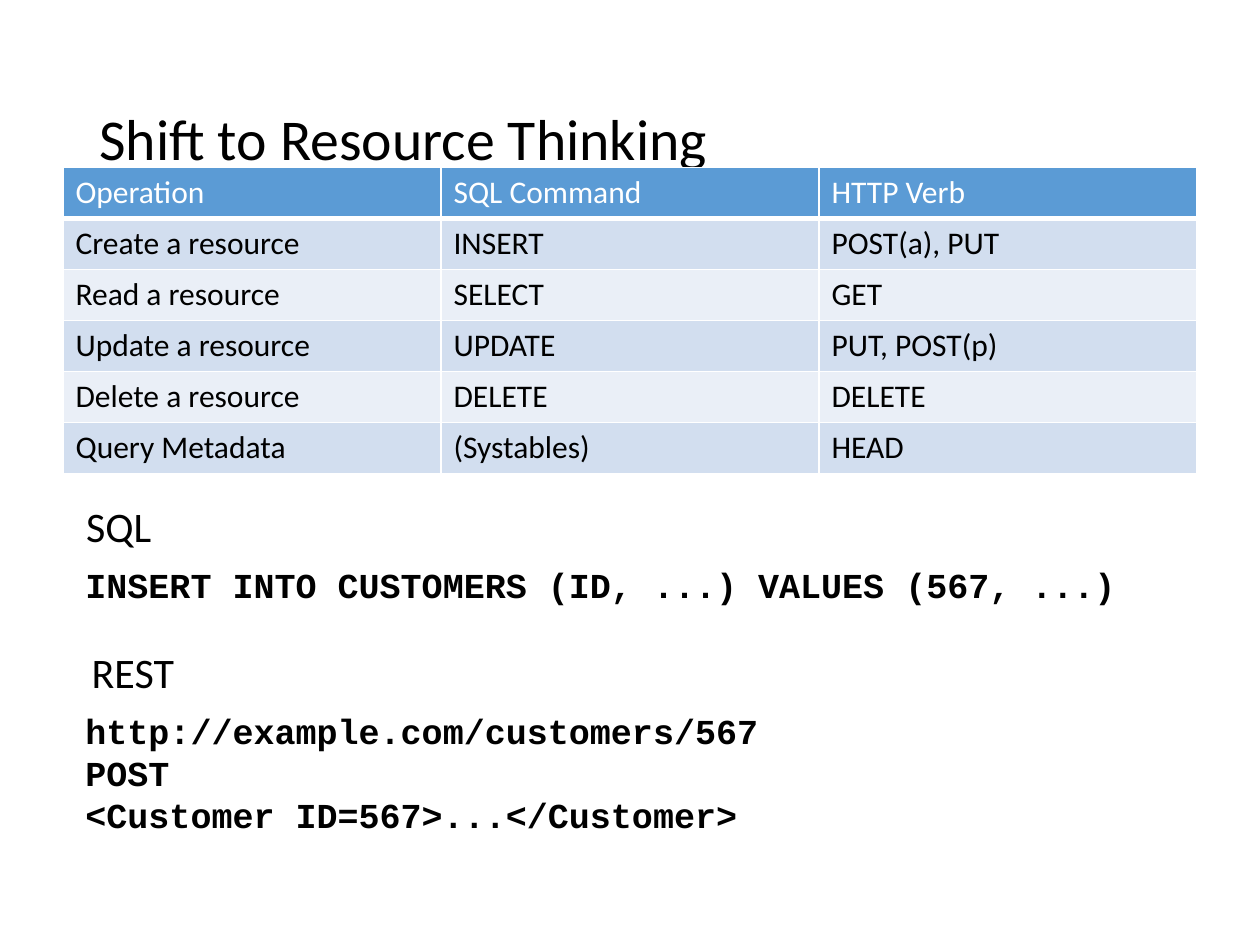
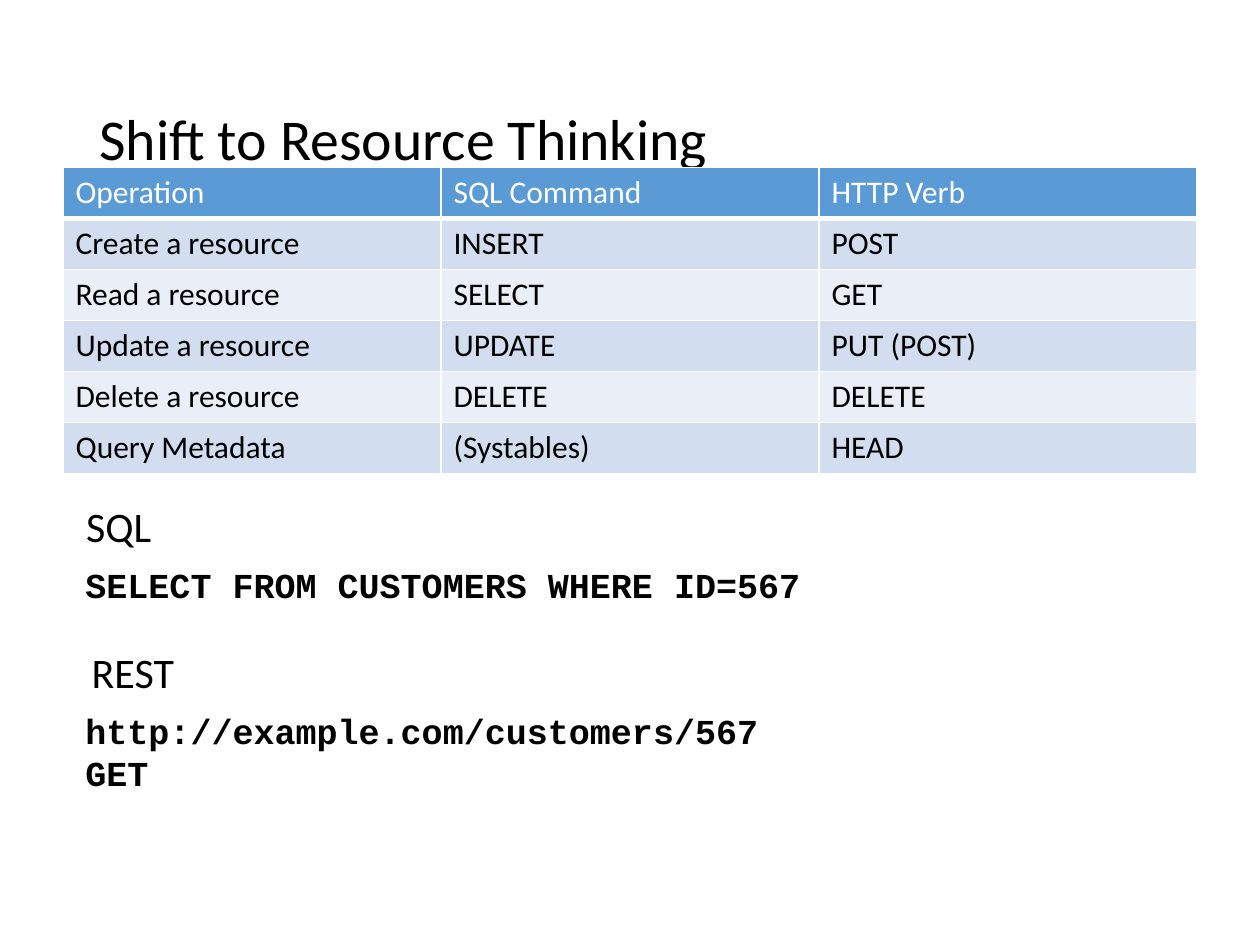
import dataclasses

import pptx
import pptx.dml.color
import pptx.enum.shapes
import pptx.enum.text
import pptx.oxml
import pptx.oxml.ns
import pptx.util

Inches = pptx.util.Inches
Pt = pptx.util.Pt
RGB = pptx.dml.color.RGBColor
Align = pptx.enum.text.PP_ALIGN
Anchor = pptx.enum.text.MSO_ANCHOR


@dataclasses.dataclass(frozen=True)
class Theme:
    ink: RGB = RGB.from_string("000000")
    paper: RGB = RGB.from_string("FFFFFF")
    head: RGB = RGB.from_string("5B9BD5")
    bands: tuple[RGB, ...] = (RGB.from_string("D2DEEF"), RGB.from_string("EAEFF7"))
    body: str = "Calibri"
    mono: str = "Courier New"
    title: int = 33
    label: int = 24
    code: int = 20
    cell: int = 18


@dataclasses.dataclass(frozen=True)
class Sample:
    """A label with a block of code under it."""
    label: str
    top: float
    width: float
    lines: tuple[str, ...]


@dataclasses.dataclass(frozen=True)
class Page:
    create: str
    update: str
    sql: str
    rest: tuple[str, ...]


THEME = Theme()
TITLE = "Shift to Resource Thinking"
URL = "http://example.com/customers/567"
PAGES = (
    Page("POST(a), PUT", "PUT, POST(p)",
         "INSERT INTO CUSTOMERS (ID, ...) VALUES (567, ...)",
         (URL, "POST", "<Customer ID=567>...</Customer>")),
    Page("POST", "PUT (POST)",
         "SELECT FROM CUSTOMERS WHERE ID=567",
         (URL, "GET")),
)


def style(para, size: int, face: str = THEME.body, color: RGB = THEME.ink,
          bold: bool = False, align=Align.LEFT) -> None:
    para.alignment = align
    font = para.font
    font.size, font.name, font.bold = Pt(size), face, bold
    font.color.rgb = color


def add_text(slide, text: str, box: tuple[float, ...], size: int,
             align=Align.LEFT, anchor=Anchor.TOP):
    frame = slide.shapes.add_textbox(*map(Inches, box)).text_frame
    frame.word_wrap = True
    frame.vertical_anchor = anchor
    frame.text = text
    para = frame.paragraphs[0]
    style(para, size, align=align)
    return para


def add_edges(cell, base: float) -> None:
    """White cell borders; base is the width of the bottom one in points."""
    props = cell._tc.get_or_add_tcPr()
    for side, width in (("L", 1), ("R", 1), ("T", 1), ("B", base)):
        props.append(pptx.oxml.parse_xml(
            f'<a:ln{side} {pptx.oxml.ns.nsdecls("a")} w="{Pt(width)}">'
            f'<a:solidFill><a:srgbClr val="{THEME.paper}"/></a:solidFill></a:ln{side}>'))


def add_grid(slide, rows: tuple[tuple[str, ...], ...]) -> None:
    box = map(Inches, (0.5, 1.33, 9, 2.43))
    table = slide.shapes.add_table(len(rows), len(rows[0]), *box).table
    table.first_row = table.horz_banding = False
    for r, row in enumerate(rows):
        for c, text in enumerate(row):
            cell = table.cell(r, c)
            cell.text = text
            add_edges(cell, 1 if r else 3)
            cell.fill.solid()
            cell.fill.fore_color.rgb = THEME.bands[(r - 1) % 2] if r else THEME.head
            style(cell.text_frame.paragraphs[0], THEME.cell,
                  color=THEME.ink if r else THEME.paper)


def add_sample(slide, item: Sample) -> None:
    # Code block, as tall as its lines
    box = (0.58, item.top + 0.5, 9, 0.09 + 0.33 * len(item.lines))
    block = slide.shapes.add_shape(
        pptx.enum.shapes.MSO_SHAPE.RECTANGLE, *map(Inches, box))
    block.shadow.inherit = False
    block.fill.solid()
    block.fill.fore_color.rgb = THEME.paper
    block.line.fill.background()
    frame = block.text_frame
    frame.word_wrap = True
    frame.vertical_anchor = Anchor.TOP
    frame.text = "\n".join(item.lines)
    for para in frame.paragraphs:
        style(para, THEME.code, THEME.mono, bold=True)
    # Label above it
    add_text(slide, item.label, (0.5, item.top, item.width, 0.51),
             THEME.label, Align.RIGHT)


def add_page(deck, page: Page) -> None:
    slide = deck.slides.add_slide(deck.slide_layouts[6])
    title = add_text(slide, TITLE, (0.69, 0.4, 8.62, 1.45), THEME.title,
                     anchor=Anchor.MIDDLE)
    title.line_spacing = 0.9
    add_grid(slide, (
        ("Operation", "SQL Command", "HTTP Verb"),
        ("Create a resource", "INSERT", page.create),
        ("Read a resource", "SELECT", "GET"),
        ("Update a resource", "UPDATE", page.update),
        ("Delete a resource", "DELETE", "DELETE"),
        ("Query Metadata", "(Systables)", "HEAD"),
    ))
    add_sample(slide, Sample("SQL", 3.92, 0.8, (page.sql,)))
    add_sample(slide, Sample("REST", 5.08, 0.98, page.rest))


def main() -> None:
    deck = pptx.Presentation()
    deck.slide_width, deck.slide_height = Inches(10), Inches(7.5)
    for page in PAGES:
        add_page(deck, page)
    deck.save("out.pptx")


if __name__ == "__main__":
    main()
